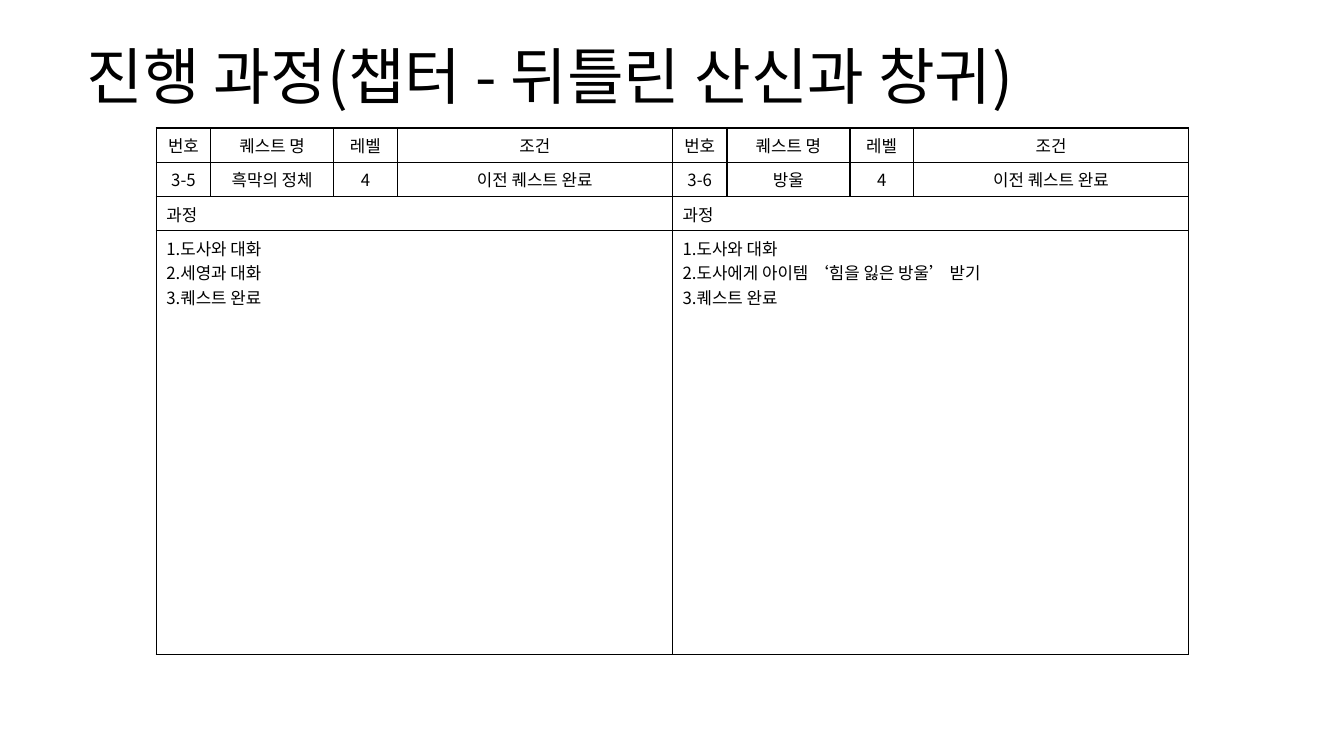
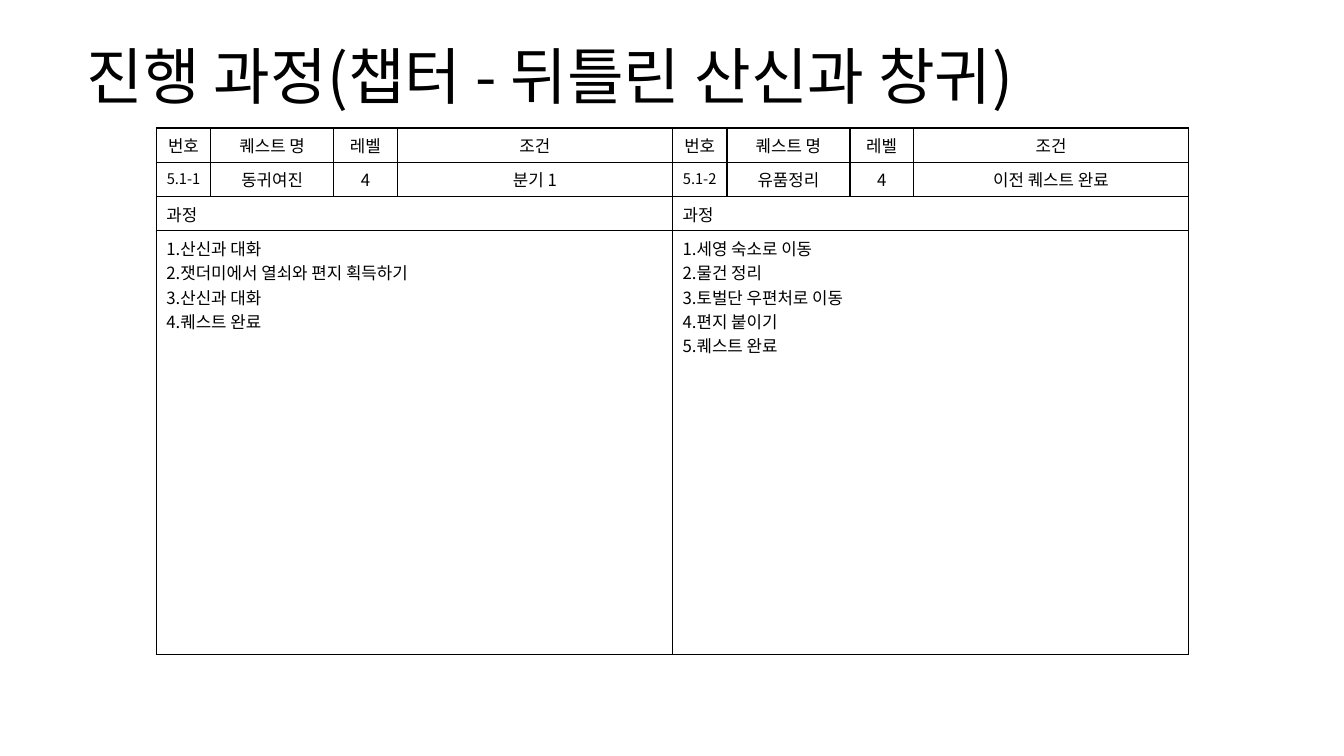
from lxml.etree import SubElement
from pptx import Presentation
from pptx.dml.color import RGBColor
from pptx.enum.text import MSO_ANCHOR, PP_ALIGN
from pptx.oxml.ns import qn
from pptx.util import Inches, Pt

COLORS = {"ink": "000000"}
FONT = "Noto Sans CJK KR"
TITLE = "진행 과정(챕터 - 뒤틀린 산신과 창귀)"
HEADERS = ["번호", "퀘스트 명", "레벨", "조건"]
COLS = [0.54, 1.22, 0.63, 2.73]
ROWS = [0.34, 0.34, 0.34, 4.2]
LEFT, TOP = 1.55, 1.27

# One list per slide: quest values, number size, steps
SLIDES = [
    [
        (["3-5", "흑막의 정체", "4", "이전 퀘스트 완료"], 12,
         ["도사와 대화", "세영과 대화", "퀘스트 완료"]),
        (["3-6", "방울", "4", "이전 퀘스트 완료"], 12,
         ["도사와 대화", "도사에게 아이템 ‘힘을 잃은 방울’ 받기", "퀘스트 완료"]),
    ],
    [
        (["5.1-1", "동귀여진", "4", "분기 1"], 10.5,
         ["산신과 대화", "잿더미에서 열쇠와 편지 획득하기", "산신과 대화", "퀘스트 완료"]),
        (["5.1-2", "유품정리", "4", "이전 퀘스트 완료"], 10.5,
         ["세영 숙소로 이동", "물건 정리", "토벌단 우편처로 이동", "편지 붙이기",
          "퀘스트 완료"]),
    ],
]


def write(tf, lines, size=12, **paragraph_format):
    for i, line in enumerate(lines):
        p = tf.add_paragraph() if i else tf.paragraphs[0]
        for name, value in paragraph_format.items():
            setattr(p, name, value)
        r = p.add_run()
        r.text = line
        for name, value in {"size": Pt(size), "name": FONT}.items():
            setattr(r.font, name, value)
        r.font.color.rgb = RGBColor.from_string(COLORS["ink"])
        SubElement(r.font._element, qn("a:ea"), typeface=FONT)


def style_cell(cell):
    tcPr = cell._tc.get_or_add_tcPr()
    for side in ("lnL", "lnR", "lnT", "lnB"):
        ln = SubElement(tcPr, qn(f"a:{side}"), w=str(Pt(1)))
        fill = SubElement(ln, qn("a:solidFill"))
        SubElement(fill, qn("a:srgbClr"), val=COLORS["ink"])
    cell.fill.background()


prs = Presentation()
prs.slide_width, prs.slide_height = Inches(13.33), Inches(7.5)

for quests in SLIDES:
    s = prs.slides.add_slide(prs.slide_layouts[6])

    # Title
    tf = s.shapes.add_textbox(Inches(0.76), Inches(0.32), Inches(11.81), Inches(0.94)).text_frame
    tf.word_wrap = True
    tf.vertical_anchor = MSO_ANCHOR.MIDDLE
    write(tf, [TITLE], 44, line_spacing=0.9)

    # Quest tables, side by side
    for n, (values, number_size, steps) in enumerate(quests):
        table = s.shapes.add_table(
            len(ROWS), len(COLS), Inches(LEFT + n * sum(COLS)), Inches(TOP),
            Inches(sum(COLS)), Inches(sum(ROWS))).table
        table.first_row = table.horz_banding = False
        for col, width in zip(table.columns, COLS):
            col.width = Inches(width)
        for row, height in zip(table.rows, ROWS):
            row.height = Inches(height)
        for cell in table.iter_cells():
            style_cell(cell)

        # Headers and values
        for c, (header, value) in enumerate(zip(HEADERS, values)):
            write(table.cell(0, c).text_frame, [header], alignment=PP_ALIGN.CENTER)
            write(table.cell(1, c).text_frame, [value], 12 if c else number_size,
                  alignment=PP_ALIGN.CENTER)

        # Full-width rows with the steps
        numbered = [f"{i}.{step}" for i, step in enumerate(steps, 1)]
        for row, lines in ((2, ["과정"]), (3, numbered)):
            table.cell(row, 0).merge(table.cell(row, len(COLS) - 1))
            write(table.cell(row, 0).text_frame, lines)

prs.save("out.pptx")
